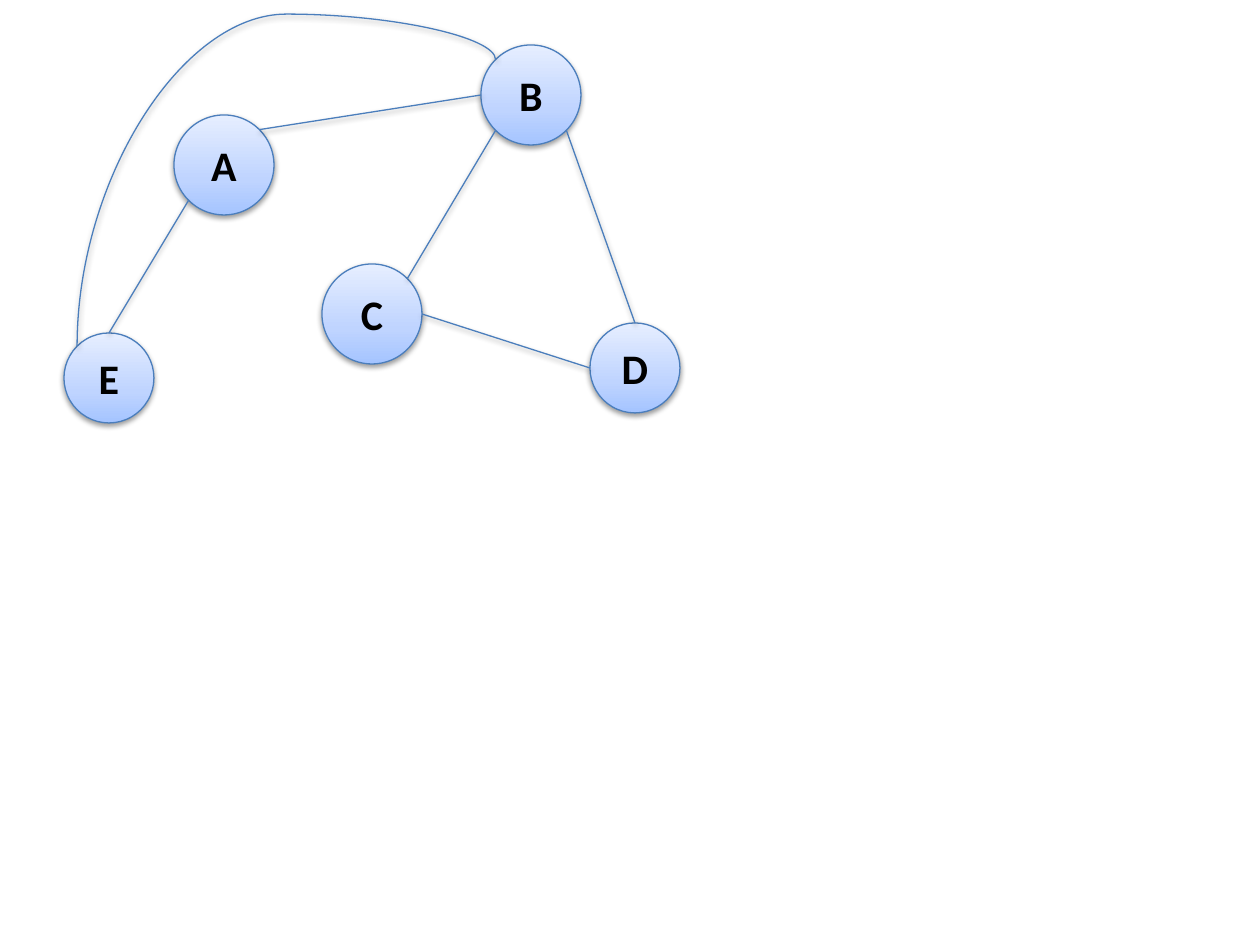
"""Build a slide with an undirected graph of five labelled nodes."""
import math
from dataclasses import dataclass

from lxml import etree
from pptx import Presentation
from pptx.dml.color import RGBColor
from pptx.enum.shapes import MSO_CONNECTOR, MSO_SHAPE
from pptx.enum.text import MSO_ANCHOR, PP_ALIGN
from pptx.oxml import parse_xml
from pptx.oxml.ns import nsdecls, qn
from pptx.util import Emu, Pt

OVAL = MSO_SHAPE.OVAL
STRAIGHT, CURVE = MSO_CONNECTOR.STRAIGHT, MSO_CONNECTOR.CURVE
MIDDLE, CENTER = MSO_ANCHOR.MIDDLE, PP_ALIGN.CENTER
SCALE = 914400 / 126


@dataclass(frozen=True)
class Theme:
    """Hold the colours, font and sizes of the slide."""
    font: str = "Calibri"
    size: int = 24
    text: str = "000000"
    line: str = "4B7EBC"
    line_width: float = 0.75
    stops: tuple = ((0, "A4C4FF"), (35, "BFD4FF"), (100, "E6EEFF"))
    shadow: str = "000000"
    shadow_alpha: int = 38
    shadow_blur: float = 3.1
    shadow_dist: float = 1.6


THEME = Theme()

NODES = {
    "A": (174, 115, 100),
    "C": (322, 264, 100),
    "D": (590, 323, 90),
    "B": (481, 45, 100),
    "E": (64, 333, 90),
}

EDGES = (
    ("A", 45, "B", 180),
    ("B", -45, "D", 90),
    ("B", -135, "C", 45),
    ("A", -135, "E", 90),
    ("C", 0, "D", 180),
)

ARC_TOP = 14


def px(value):
    """Turn pixels into EMU."""
    return Emu(round(value * SCALE))


def rim(name, angle):
    """Return the point on a node's rim at an anticlockwise angle."""
    left, top, size = NODES[name]
    r, a = size / 2, math.radians(angle)
    return left + r + r * math.cos(a), top + r - r * math.sin(a)


def style_line(shape):
    """Give a shape the common line and a soft shadow below."""
    shape.line.color.rgb = RGBColor.from_string(THEME.line)
    shape.line.width = Pt(THEME.line_width)
    shape._element.spPr.append(parse_xml(
        f'<a:effectLst {nsdecls("a")}><a:outerShdw'
        f' blurRad="{Pt(THEME.shadow_blur)}" dist="{Pt(THEME.shadow_dist)}"'
        f' dir="5400000" rotWithShape="0"><a:srgbClr val="{THEME.shadow}">'
        f'<a:alpha val="{THEME.shadow_alpha * 1000}"/>'
        '</a:srgbClr></a:outerShdw></a:effectLst>'))


def fill_gradient(shape):
    """Fill a shape with the theme's vertical gradient."""
    shape.fill.gradient()
    shape.fill.gradient_angle = 90
    stops = shape._element.spPr.find(qn("a:gradFill")).find(qn("a:gsLst"))
    for old in list(stops):
        stops.remove(old)
    for pos, color in THEME.stops:
        gs = etree.SubElement(stops, qn("a:gs"), pos=str(pos * 1000))
        etree.SubElement(gs, qn("a:srgbClr"), val=color)


def add_node(s, name):
    """Add a round node with its letter."""
    left, top, size = NODES[name]
    sp = s.shapes.add_shape(OVAL, px(left), px(top), px(size), px(size))
    fill_gradient(sp)
    style_line(sp)
    tf = sp.text_frame
    tf.text = name
    tf.vertical_anchor = MIDDLE
    p = tf.paragraphs[0]
    p.alignment = CENTER
    font = p.runs[0].font
    font.name, font.size, font.bold = THEME.font, Pt(THEME.size), True
    font.color.rgb = RGBColor.from_string(THEME.text)


def add_edge(s, start, start_angle, end, end_angle):
    """Join two nodes with a straight line."""
    points = rim(start, start_angle) + rim(end, end_angle)
    style_line(s.shapes.add_connector(STRAIGHT, *map(px, points)))


def add_arc(s, start, start_angle, end, end_angle, top):
    """Join two nodes with a curve that rises to the given top."""
    x1, y1 = rim(start, start_angle)
    x2, y2 = rim(end, end_angle)
    cx, cy = (x1 + x2) / 2, (y1 + y2) / 2
    half_w, half_h = (y2 - y1) / 2, (x1 - x2) / 2
    corners = (cx + half_w, cy + half_h, cx - half_w, cy - half_h)
    arc = s.shapes.add_connector(CURVE, *map(px, corners))
    sp_pr = arc._element.spPr
    sp_pr.find(qn("a:xfrm")).set("rot", str(270 * 60000))
    guides = sp_pr.find(qn("a:prstGeom")).find(qn("a:avLst"))
    bend = round((top - y1) / (y2 - y1) * 100000)
    etree.SubElement(guides, qn("a:gd"), name="adj1", fmla=f"val {bend}")
    style_line(arc)


def main():
    """Build and save the slide."""
    prs = Presentation()
    prs.slide_width, prs.slide_height = px(1260), px(945)
    s = prs.slides.add_slide(prs.slide_layouts[6])
    for name in NODES:
        add_node(s, name)
    for edge in EDGES:
        add_edge(s, *edge)
    add_arc(s, "B", 135, "E", 135, ARC_TOP)
    prs.save("out.pptx")


main()
